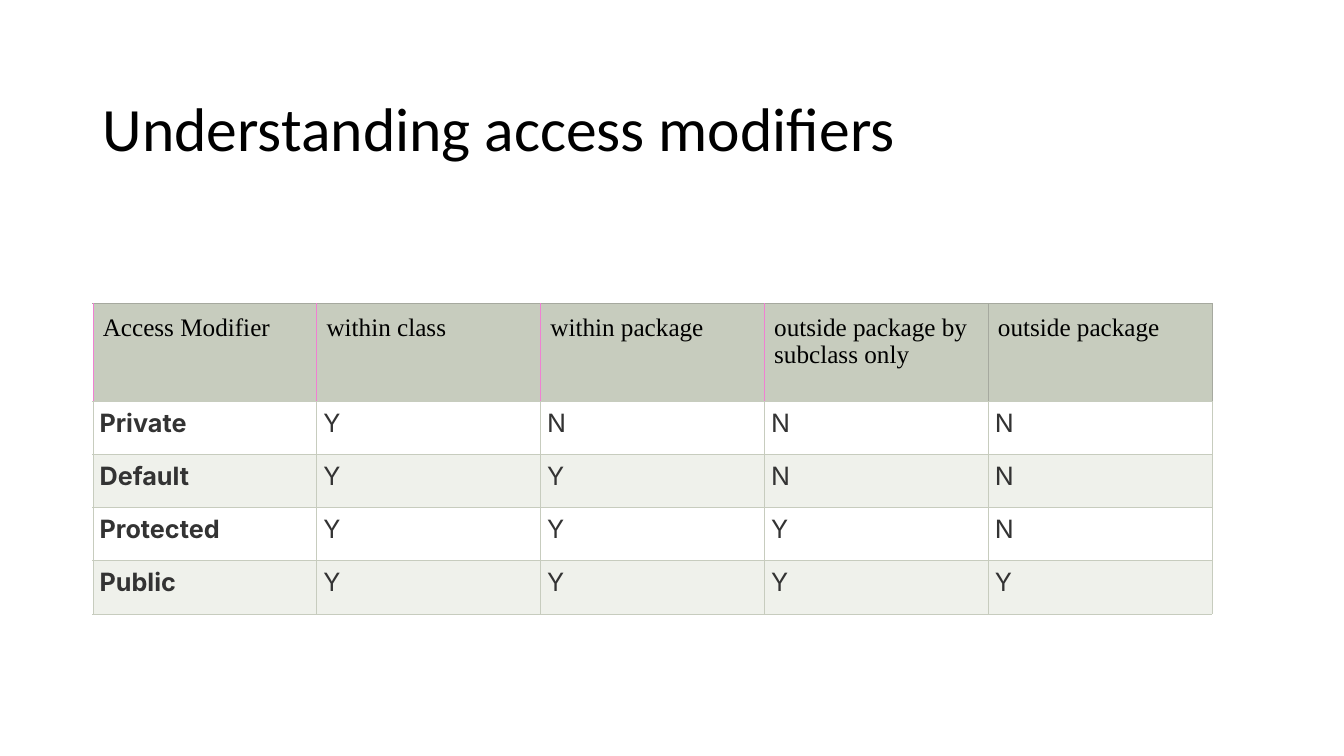
import dataclasses

import lxml.etree
import pptx
import pptx.dml.color
import pptx.enum.text
import pptx.oxml.ns
import pptx.table
import pptx.text.text
import pptx.util

Cm = pptx.util.Cm
Pt = pptx.util.Pt

SAGE, PINK, GREY = "C7CCBE", "F080D2", "A6A99F"
BANDS = ("FFFFFF", "EFF1EB")
COLUMN_WIDTH, HEADER_HEIGHT, ROW_HEIGHT = Cm(5.64), Cm(2.46), Cm(1.34)

HEADINGS = ("Access Modifier", "within class", "within package",
            "outside package by subclass only", "outside package")
ACCESS = {"Private": "YNNN", "Default": "YYNN", "Protected": "YYYN", "Public": "YYYY"}


@dataclasses.dataclass(frozen=True)
class TextStyle:
    font: str
    size: float
    color: str
    bold: bool = False
    align: pptx.enum.text.PP_ALIGN = pptx.enum.text.PP_ALIGN.LEFT


@dataclasses.dataclass(frozen=True)
class CellStyle:
    text: TextStyle
    fill: str
    inset: pptx.util.Length
    borders: dict[str, str]


def rgb(color: str) -> pptx.dml.color.RGBColor:
    return pptx.dml.color.RGBColor.from_string(color)


def write(frame: pptx.text.text.TextFrame, words: str, style: TextStyle) -> None:
    frame.text = words
    frame.word_wrap = True
    paragraph = frame.paragraphs[0]
    paragraph.alignment = style.align
    font = paragraph.runs[0].font
    font.name, font.size, font.bold = style.font, Pt(style.size), style.bold
    font.color.rgb = rgb(style.color)


def draw_border(cell: pptx.table._Cell, side: str, color: str) -> None:
    qn = pptx.oxml.ns.qn
    properties = cell._tc.get_or_add_tcPr()
    line = lxml.etree.SubElement(properties, qn(f"a:ln{side}"), w=str(Pt(0.6)))
    solid = lxml.etree.SubElement(line, qn("a:solidFill"))
    lxml.etree.SubElement(solid, qn("a:srgbClr"), val=color)


def fill_cell(cell: pptx.table._Cell, words: str, style: CellStyle) -> None:
    write(cell.text_frame, words, style.text)
    cell.margin_left = cell.margin_right = style.inset
    cell.margin_top = cell.margin_bottom = style.inset
    for side in "LRTB":
        draw_border(cell, side, style.borders[side])
    cell.fill.solid()
    cell.fill.fore_color.rgb = rgb(style.fill)


def header_style(column: int) -> CellStyle:
    last = len(HEADINGS) - 1
    borders = {"L": PINK if column < last else GREY,
               "R": PINK if column < last - 1 else GREY,
               "T": GREY, "B": SAGE}
    return CellStyle(TextStyle("Times New Roman", 18, "000000"), SAGE, Cm(0.25), borders)


def body_style(row: int, column: int) -> CellStyle:
    text = TextStyle("Inter", 18, "333333", column == 0, pptx.enum.text.PP_ALIGN.JUSTIFY)
    return CellStyle(text, BANDS[row % 2], Cm(0.17), dict.fromkeys("LRTB", SAGE))


presentation = pptx.Presentation()
presentation.slide_width, presentation.slide_height = Cm(33.87), Cm(19.05)
slide = presentation.slides.add_slide(presentation.slide_layouts[6])

# Title
title = slide.shapes.add_textbox(Cm(2.34), Cm(1.47), Cm(29.21), Cm(3.68)).text_frame
write(title, "Understanding access modifiers", TextStyle("Calibri", 44, "000000"))
title.vertical_anchor = pptx.enum.text.MSO_ANCHOR.MIDDLE
title.paragraphs[0].line_spacing = 0.9

# Access table
modifiers = slide.shapes.add_table(
    len(ACCESS) + 1, len(HEADINGS), Cm(2.34), Cm(7.65),
    COLUMN_WIDTH * len(HEADINGS), HEADER_HEIGHT + ROW_HEIGHT * len(ACCESS)).table
for table_column in modifiers.columns:
    table_column.width = COLUMN_WIDTH
for index, table_row in enumerate(modifiers.rows):
    table_row.height = ROW_HEIGHT if index else HEADER_HEIGHT

# Header row
for column, heading in enumerate(HEADINGS):
    fill_cell(modifiers.cell(0, column), heading, header_style(column))

# One row per modifier
for row, (modifier, answers) in enumerate(ACCESS.items()):
    for column, words in enumerate((modifier, *answers)):
        fill_cell(modifiers.cell(row + 1, column), words, body_style(row, column))

presentation.save("out.pptx")
